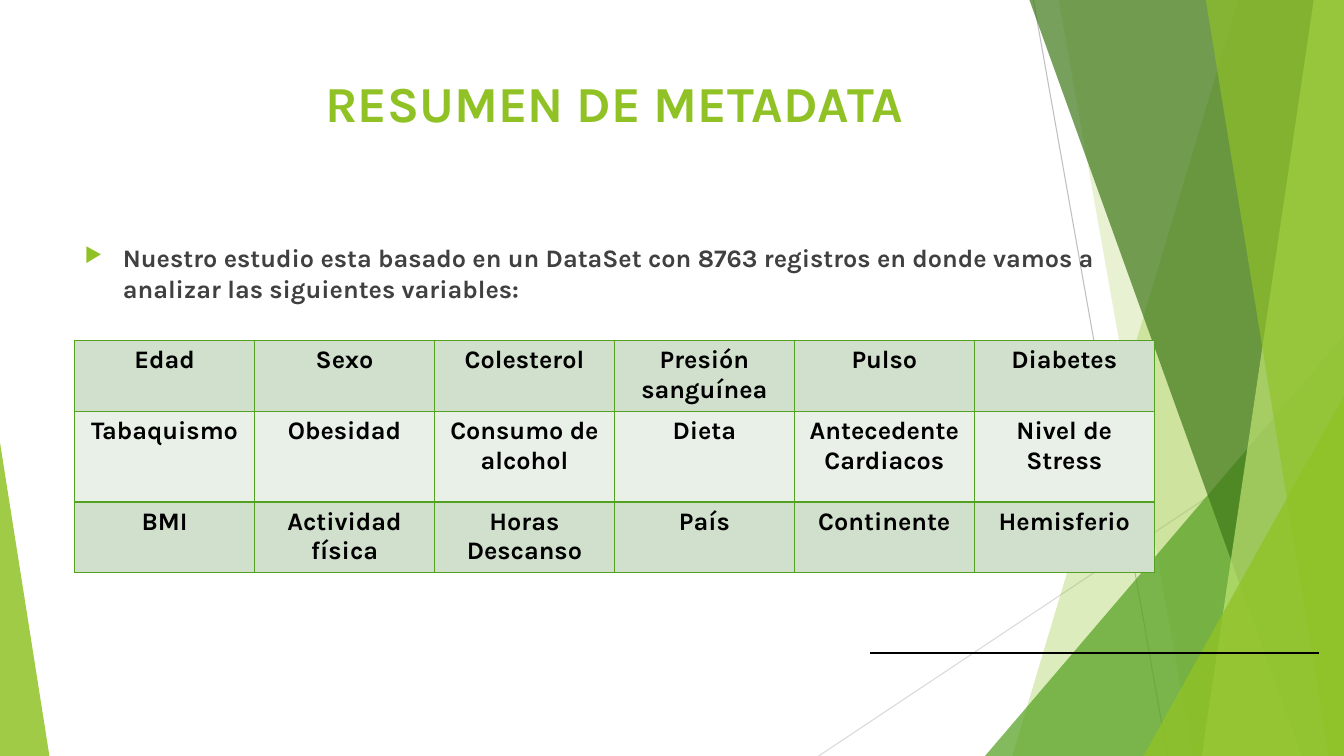
from lxml import etree
from pptx import Presentation
from pptx.dml.color import RGBColor
from pptx.enum.shapes import MSO_CONNECTOR, MSO_SHAPE
from pptx.enum.text import MSO_ANCHOR, PP_ALIGN
from pptx.oxml.ns import qn
from pptx.util import Inches, Pt

STRAIGHT = MSO_CONNECTOR.STRAIGHT
TRIANGLE = MSO_SHAPE.ISOSCELES_TRIANGLE
TOP = MSO_ANCHOR.TOP
CENTER = PP_ALIGN.CENTER
LEFT = PP_ALIGN.LEFT

LIME = RGBColor(0x90, 0xC2, 0x26)
PALE_LIME = RGBColor(0xC0, 0xE4, 0x74)
GREEN = RGBColor(0x54, 0xA0, 0x21)
DARK_GREEN = RGBColor(0x3F, 0x78, 0x19)
BAND_DARK = RGBColor(0xD1, 0xDF, 0xCD)
BAND_LIGHT = RGBColor(0xE9, 0xF0, 0xE8)
CHARCOAL = RGBColor(0x40, 0x40, 0x40)
SILVER = RGBColor(0xBF, 0xBF, 0xBF)
LIGHT_GREY = RGBColor(0xD9, 0xD9, 0xD9)
BLACK = RGBColor(0, 0, 0)

FONT = "Karla"
SLIDE_W, SLIDE_H = 13.33, 7.5
CONTENT_X, CONTENT_W = 0.74, 10.71

VARIABLES = [
    ["Edad", "Sexo", "Colesterol", "Presión sanguínea", "Pulso", "Diabetes"],
    ["Tabaquismo", "Obesidad", "Consumo de alcohol", "Dieta",
     "Antecedente Cardiacos", "Nivel de Stress"],
    ["BMI", "Actividad física", "Horas Descanso", "País", "Continente",
     "Hemisferio"],
]
ROW_HEIGHTS = [0.68, 0.9, 0.68]


def inches(*lengths):
    return [Inches(length) for length in lengths]


def style_text(paragraph, size, color, align):
    paragraph.alignment = align
    font = paragraph.font
    font.name, font.size, font.bold = FONT, Pt(size), True
    font.color.rgb = color


def paint(shape, color, opacity):
    """Fill a borderless shape; opacity is in percent."""
    shape.shadow.inherit = False
    shape.line.fill.background()
    shape.fill.solid()
    shape.fill.fore_color.rgb = color
    tint = shape.fill._xPr.find(qn("a:solidFill"))[0]
    etree.SubElement(tint, qn("a:alpha"), val=str(opacity * 1000))


def add_rule(slide, start, end, color, width):
    rule = slide.shapes.add_connector(STRAIGHT, *inches(*start, *end))
    rule.line.color.rgb = color
    rule.line.width = Pt(width)
    etree.SubElement(rule._element.spPr, qn("a:effectLst"))


def add_facet(slide, top_x, bottom_x, color, opacity):
    """Fill everything between a slanted edge and the right side of the slide."""
    outline = slide.shapes.build_freeform(*inches(top_x, 0))
    corners = [(SLIDE_W, 0), (SLIDE_W, SLIDE_H), (bottom_x, SLIDE_H)]
    outline.add_line_segments([inches(*corner) for corner in corners], close=True)
    paint(outline.convert_to_shape(), color, opacity)


def add_corner(slide, left, width, height, apex, color, opacity):
    """Stand a right triangle on the bottom edge; apex is 0 (left) or 1 (right)."""
    corner = slide.shapes.add_shape(
        TRIANGLE, *inches(left, SLIDE_H - height, width, height))
    corner.adjustments[0] = apex
    paint(corner, color, opacity)


def add_backdrop(slide):
    add_rule(slide, (10.25, 0), (11.58, SLIDE_H), SILVER, 0.75)
    add_rule(slide, (SLIDE_W, 4.03), (8.12, SLIDE_H), LIGHT_GREY, 0.75)
    add_facet(slide, 12.28, 10.04, LIME, 30)
    add_facet(slide, 10.5, 11.83, LIME, 20)
    add_corner(slide, 9.77, 3.56, 4.17, 1, GREEN, 72)
    add_facet(slide, 10.21, 12.91, DARK_GREEN, 70)
    add_facet(slide, 13.03, 11.92, PALE_LIME, 70)
    add_facet(slide, 11.96, 13.18, LIME, 65)
    add_corner(slide, 11.34, 1.99, 3.57, 1, LIME, 80)
    add_corner(slide, 0, 0.49, 3.11, 0, LIME, 85)


def add_title(slide, left, top, width, height):
    title = slide.shapes.title
    title.left, title.top, title.width, title.height = inches(
        left, top, width, height)
    title.text_frame.vertical_anchor = TOP
    title.text_frame.text = "RESUMEN DE METADATA"
    style_text(title.text_frame.paragraphs[0], 36, LIME, CENTER)
    title._element.getparent().append(title._element)  # in front of the backdrop


def add_introduction(slide, left, top, width, height):
    frame = slide.shapes.add_textbox(*inches(left, top, width, height)).text_frame
    frame.word_wrap = True
    frame.text = ("Nuestro estudio esta basado en un DataSet con 8763 registros "
                  "en donde vamos a analizar las siguientes variables:")
    paragraph = frame.paragraphs[0]
    style_text(paragraph, 18, CHARCOAL, LEFT)
    properties = paragraph._p.get_or_add_pPr()
    indent = Inches(0.38)
    properties.set("marL", str(indent))
    properties.set("indent", str(-indent))
    bullet_color = etree.Element(qn("a:buClr"))
    etree.SubElement(bullet_color, qn("a:srgbClr"), val=str(LIME))
    bullet_size = etree.Element(qn("a:buSzPct"), val="80000")
    bullet = etree.Element(qn("a:buChar"), char="▶")
    for position, part in enumerate([bullet_color, bullet_size, bullet]):
        properties.insert(position, part)


def add_borders(cell, color, width):
    properties = cell._tc.get_or_add_tcPr()
    for position, side in enumerate(("lnL", "lnR", "lnT", "lnB")):
        border = etree.Element(qn(f"a:{side}"), w=str(Pt(width)))
        fill = etree.SubElement(border, qn("a:solidFill"))
        etree.SubElement(fill, qn("a:srgbClr"), val=str(color))
        properties.insert(position, border)


def add_variables(slide, left, top, width):
    table = slide.shapes.add_table(
        len(VARIABLES), len(VARIABLES[0]),
        *inches(left, top, width, sum(ROW_HEIGHTS))).table
    for row, height in zip(table.rows, ROW_HEIGHTS):
        row.height = Inches(height)
    for r, names in enumerate(VARIABLES):
        for c, name in enumerate(names):
            cell = table.cell(r, c)
            cell.text = name
            style_text(cell.text_frame.paragraphs[0], 18, BLACK, CENTER)
            cell.fill.solid()
            cell.fill.fore_color.rgb = BAND_LIGHT if r % 2 else BAND_DARK
            add_borders(cell, GREEN, 1)


def main():
    deck = Presentation()
    deck.slide_width, deck.slide_height = inches(SLIDE_W, SLIDE_H)
    slide = deck.slides.add_slide(deck.slide_layouts.get_by_name("Title Only"))
    add_backdrop(slide)
    add_title(slide, CONTENT_X, 0.67, CONTENT_W, 1.44)
    add_introduction(slide, CONTENT_X, 2.36, CONTENT_W, 0.9)
    add_variables(slide, CONTENT_X, 3.38, CONTENT_W)
    add_rule(slide, (8.63, 6.48), (13.08, 6.48), BLACK, 1.5)
    deck.save("out.pptx")


if __name__ == "__main__":
    main()
